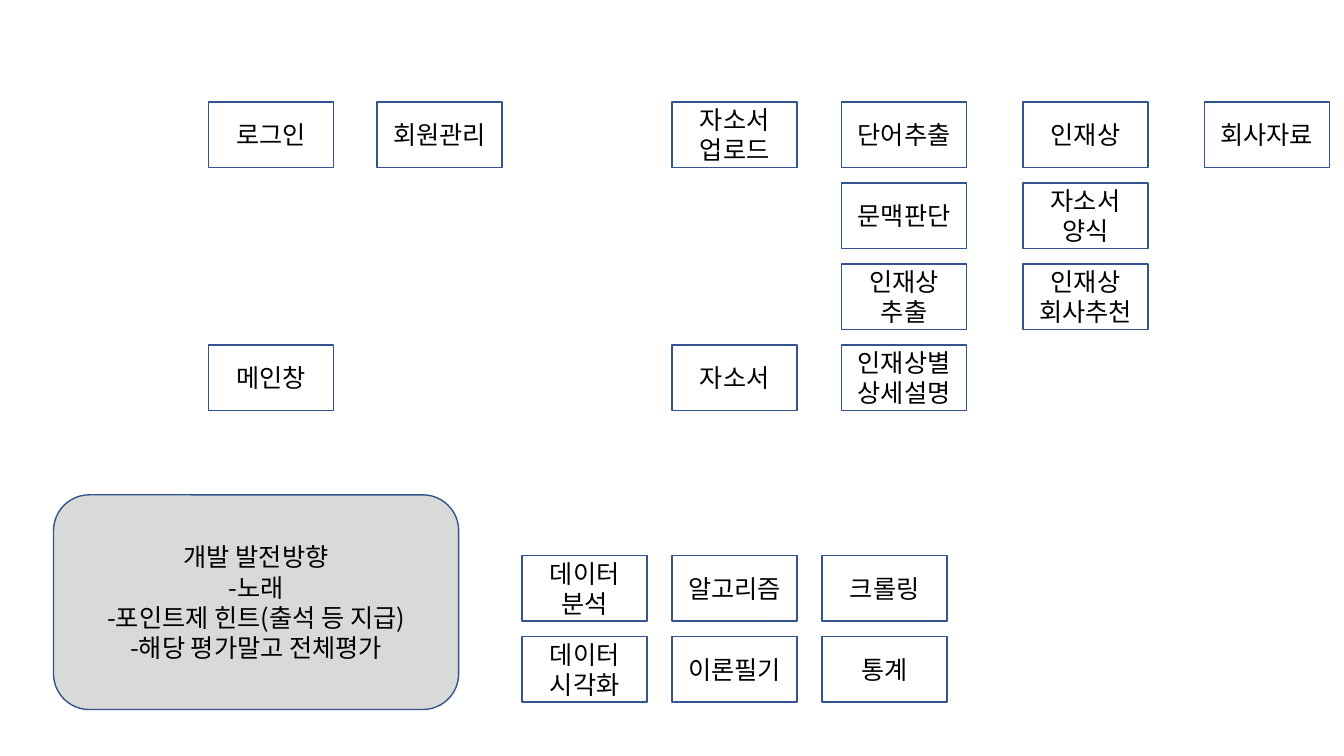
from dataclasses import dataclass

import lxml.etree
import pptx
import pptx.dml.color
import pptx.enum.shapes
import pptx.enum.text
import pptx.oxml.ns
import pptx.slide
import pptx.util
from pptx.util import Cm

FONT = "Noto Sans CJK KR"
BOX_WIDTH, BOX_HEIGHT = 3.15, 1.65
ROW_PITCH = 2.04
RECTANGLE = pptx.enum.shapes.MSO_SHAPE.RECTANGLE
ROUNDED = pptx.enum.shapes.MSO_SHAPE.ROUNDED_RECTANGLE


@dataclass(frozen=True)
class Column:
    """A stack of boxes at one left edge; None leaves a row empty."""
    left: float
    top: float
    labels: tuple[str | None, ...]


MENU_TOP, SKILL_TOP = 2.57, 14.0
MENU_COLUMNS = [
    Column(5.26, MENU_TOP, ("로그인", None, None, "메인창")),
    Column(9.5, MENU_TOP, ("회원관리",)),
    Column(16.94, MENU_TOP, ("자소서\n업로드", None, None, "자소서")),
    Column(21.21, MENU_TOP, ("단어추출", "문맥판단", "인재상\n추출", "인재상별\n상세설명")),
    Column(25.78, MENU_TOP, ("인재상", "자소서\n양식", "인재상\n회사추천")),
    Column(30.35, MENU_TOP, ("회사자료",)),
]
SKILL_LABELS = [
    ("데이터\n분석", "데이터\n시각화"),
    ("알고리즘", "이론필기"),
    ("크롤링", "통계"),
]
SKILL_COLUMNS = [
    Column(13.16 + 3.78 * index, SKILL_TOP, labels)
    for index, labels in enumerate(SKILL_LABELS)
]
PLAN_TEXT = "개발 발전방향\n-노래\n-포인트제 힌트(출석 등 지급)\n-해당 평가말고 전체평가"


def color(value: str) -> pptx.dml.color.RGBColor:
    return pptx.dml.color.RGBColor.from_string(value)


def add_box(slide: pptx.slide.Slide, kind: pptx.enum.shapes.MSO_SHAPE,
            left: float, top: float, width: float, height: float,
            text: str, fill: str) -> None:
    shape = slide.shapes.add_shape(kind, Cm(left), Cm(top), Cm(width), Cm(height))
    shape.shadow.inherit = False
    shape.fill.solid()
    shape.fill.fore_color.rgb = color(fill)
    shape.line.color.rgb = color("325491")
    shape.line.width = pptx.util.Pt(1)
    frame = shape.text_frame
    frame.word_wrap = True
    frame.vertical_anchor = pptx.enum.text.MSO_ANCHOR.MIDDLE
    frame.text = text
    for paragraph in frame.paragraphs:
        paragraph.alignment = pptx.enum.text.PP_ALIGN.CENTER
        paragraph.font.name = FONT
        paragraph.font.size = pptx.util.Pt(18)
        paragraph.font.color.rgb = color("000000")
        # Korean glyphs take the East Asian typeface.
        properties = paragraph._p.pPr.find(pptx.oxml.ns.qn("a:defRPr"))
        lxml.etree.SubElement(properties, pptx.oxml.ns.qn("a:ea"), typeface=FONT)


def add_column(slide: pptx.slide.Slide, column: Column) -> None:
    for row, label in enumerate(column.labels):
        if label is not None:
            add_box(slide, RECTANGLE, column.left, column.top + row * ROW_PITCH,
                    BOX_WIDTH, BOX_HEIGHT, label, "FFFFFF")


def main() -> None:
    presentation = pptx.Presentation()
    presentation.slide_width = Cm(33.87)
    presentation.slide_height = Cm(19.05)
    slide = presentation.slides.add_slide(presentation.slide_layouts[6])
    for column in MENU_COLUMNS + SKILL_COLUMNS:
        add_column(slide, column)
    add_box(slide, ROUNDED, 1.35, 12.47, 10.21, 5.41, PLAN_TEXT, "D9D9D9")
    presentation.save("out.pptx")


if __name__ == "__main__":
    main()
